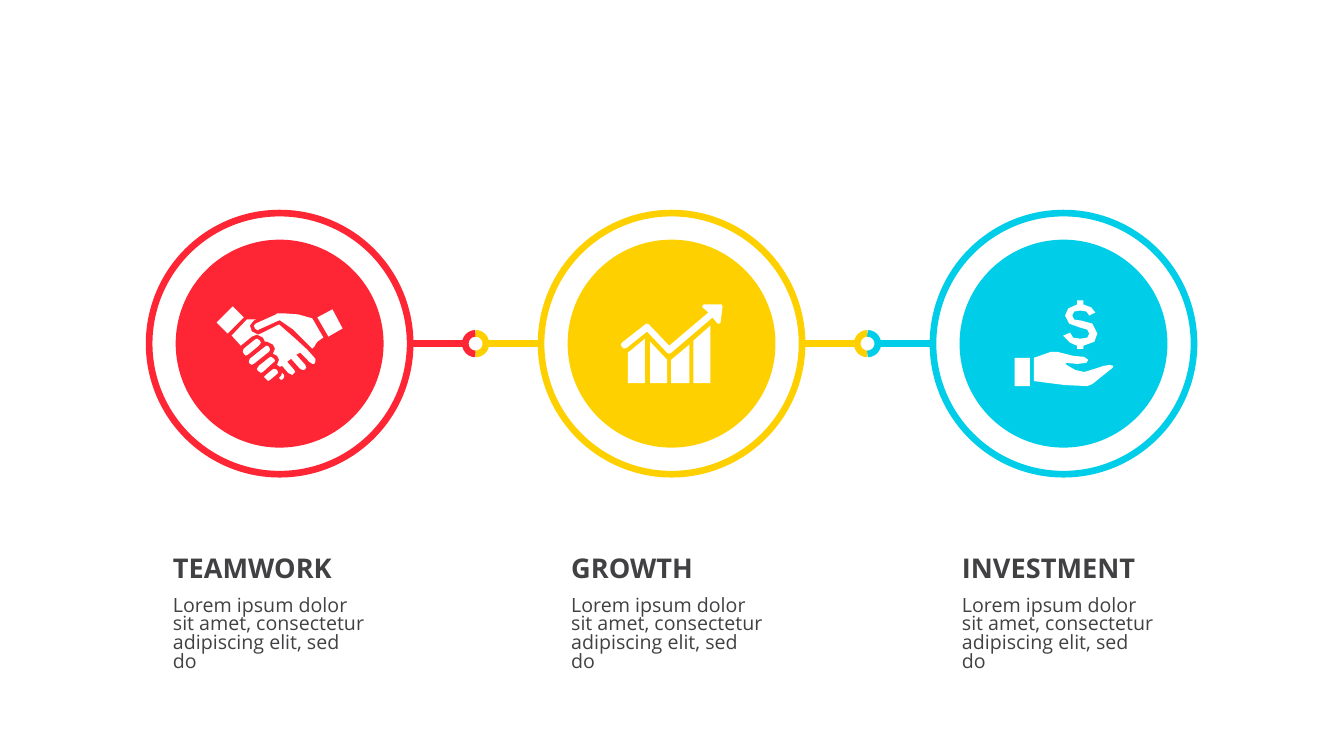
from lxml import etree
from pptx import Presentation, util as u
from pptx.dml.color import RGBColor
from pptx.enum import shapes as s, text as t
from pptx.oxml.ns import qn

HANDS = [
    "29,49 27,47 26,45 27,42 38,33 40,32 43,34 44,36 42,39 31,48",
    "37,57 52,45 53,43 52,40 50,39 48,40 33,52 32,55 33,57 35,58",
    "46,65 56,56 58,54 57,52 54,50 52,51 42,59 40,62 41,64 44,66",
    "53,73 59,68 61,66 60,63 57,62 55,63 49,68 47,70 49,72 51,74",
    "111,30 125,22 115,3 100,11",
    "98,38 100,35 106,31 95,12 81,8 67,7 60,7 59,8 39,17 37,19 38,22 41,24 "
    "42,23 62,14 63,14 76,23 95,42 97,40",
    "66,72 67,70 67,68 65,66 64,69 62,71 64,73",
    "76,67 78,65 77,63 70,55 74,52 82,61 83,62 85,63 87,63 89,61 88,58 79,48 "
    "83,46 92,55 95,57 97,57 98,55 98,52 90,43 78,32 62,18 44,27 41,28 35,25 "
    "33,19 37,14 39,13 30,13 15,29 24,39 35,30 40,28 46,31 48,35 50,35 56,38 "
    "58,42 56,47 60,49 62,53 60,58 63,60 65,59 71,66 75,68",
    "11,27 27,11 16,0 0,16",
]
CHART = [
    "72,36 89,21 89,78 72,78",
    "50,78 68,78 68,40 50,55",
    "29,78 46,78 46,55 29,37",
    "7,78 24,78 24,34 7,48",
    "99,0 83,0 81,1 81,3 87,8 48,41 28,20 26,19 24,20 1,38 0,40 1,42 3,44 "
    "6,43 26,27 46,48 48,49 50,48 91,13 96,19 98,19 99,18 101,2 100,0",
]
MONEY = [
    "68,45 68,48 62,48 62,45 55,42 48,35 55,32 58,37 65,38 72,37 74,33 72,29 "
    "65,27 54,23 50,15 53,8 62,4 62,0 68,0 68,4 76,7 80,12 74,15 71,11 65,10 "
    "59,11 57,15 59,19 66,20 77,23 82,33 79,41",
    "94,64 88,65 79,68 69,71 60,69 50,63 52,62 62,63 71,62 73,59 69,56 58,55 "
    "42,51 36,51 19,57 19,80 34,82 50,84 72,85 77,83 97,67 98,65",
    "0,85 15,85 15,57 0,57",
]
BODY = "Lorem ipsum dolor sit amet, consectetur adipiscing elit, sed do"
STEPS = [
    ("TEAMWORK", "FE2635", HANDS, (-1.59, -0.94), 4.11, [1]),
    ("GROWTH", "FFD000", CHART, (-1.28, -0.99), 14.15, [-1, 1]),
    ("INVESTMENT", "00CEE8", MONEY, (-1.23, -1.09), 24, [-1]),
]
PITCH, RING, DISC, NODE = 9.88, 3.29, 2.62, 0.26


def color(hex):
    return RGBColor.from_string(hex)


def stroke(line, hex):
    line.color.rgb = color(hex)
    line.width = u.Pt(4.75)


def round_at(page, kind, x, y, r):
    part = page.shapes.add_shape(
        kind, u.Cm(x - r), u.Cm(y - r), u.Cm(2 * r), u.Cm(2 * r))
    part.shadow.inherit = False
    part.fill.background()
    return part


def solid(part, hex):
    part.shadow.inherit = False
    part.fill.solid()
    part.fill.fore_color.rgb = color(hex)
    part.line.fill.background()


def icon(page, x, y, loops):
    loops = [[tuple(map(int, p.split(","))) for p in loop.split()]
             for loop in loops]
    pen = page.shapes.build_freeform(*loops[0][0], scale=u.Cm(0.0254))
    for i, loop in enumerate(loops):
        if i:
            pen.move_to(*loop[0])
        pen.add_line_segments(loop[1:], close=True)
    solid(pen.convert_to_shape(u.Cm(x), u.Cm(y)), "FFFFFF")


def link(page, x, y, side, hex):
    node = x + side * PITCH / 2
    line = page.shapes.add_connector(
        s.MSO_CONNECTOR.STRAIGHT, u.Cm(x + side * RING), u.Cm(y),
        u.Cm(node - side * NODE), u.Cm(y))
    stroke(line.line, hex)
    etree.SubElement(line._element.spPr, qn("a:effectLst"))
    arc = round_at(page, s.MSO_SHAPE.ARC, node, y, NODE)
    start, end = (90, 270) if side > 0 else (270, 90)
    arc.adjustments[0] = start * 0.6
    arc.adjustments[1] = (end - 360 if end > 180 and start > 180 else end) * 0.6
    stroke(arc.line, hex)


def badge(page, x, y, hex, loops, shift, sides):
    solid(round_at(page, s.MSO_SHAPE.OVAL, x, y, DISC), hex)
    ring = round_at(page, s.MSO_SHAPE.OVAL, x, y, RING)
    stroke(ring.line, hex)
    for side in sides:
        link(page, x, y, side, hex)
    icon(page, x + shift[0], y + shift[1], loops)


def label(page, x, y, w, h, words, size, bold, gap):
    frame = page.shapes.add_textbox(
        u.Cm(x), u.Cm(y), u.Cm(w), u.Cm(h)).text_frame
    frame.word_wrap = True
    frame.vertical_anchor = t.MSO_ANCHOR.TOP
    frame.text = words
    para = frame.paragraphs[0]
    para.line_spacing = gap
    font = para.runs[0].font
    font.name = "Open Sans"
    font.size = u.Pt(size)
    font.bold = bold
    font.color.rgb = color("414042")


def caption(page, x, y, w, title):
    label(page, x, y, w, 0.97, title, 19.4, True, 0.8)
    label(page, x, y + 1.01, w, 2.84, BODY, 14, False, 0.79)


def main():
    deck = Presentation()
    deck.slide_width, deck.slide_height = u.Cm(33.88), u.Cm(19.05)
    page = deck.slides.add_slide(deck.slide_layouts[6])
    for i, (title, hex, loops, shift, left, sides) in enumerate(STEPS):
        badge(page, 7.05 + i * PITCH, 8.66, hex, loops, shift, sides)
        caption(page, left, 13.92, 5.38, title)
    deck.save("out.pptx")


if __name__ == "__main__":
    main()
